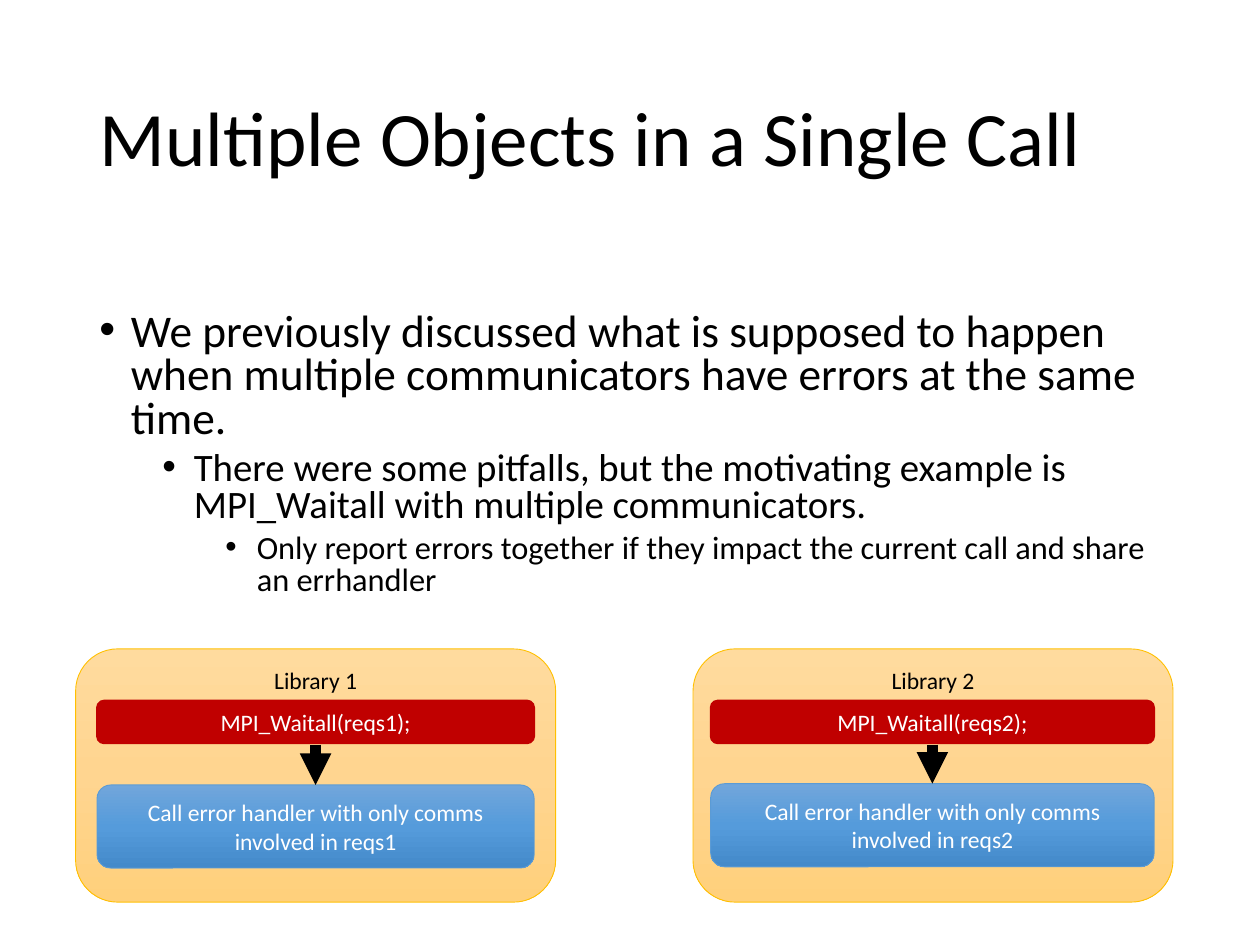
from lxml import etree
from pptx import Presentation
from pptx.dml.color import RGBColor
from pptx.enum.shapes import MSO_CONNECTOR as Connector, MSO_SHAPE as Shape
from pptx.enum.text import MSO_ANCHOR as Anchor, MSO_AUTO_SIZE as AutoSize, PP_ALIGN as Align
from pptx.oxml.ns import qn
from pptx.util import Inches, Pt

BLACK, WHITE, RED = "000000", "FFFFFF", "C00000"
ORANGE_FADE = ("FFDB9E", "FFD590", "FFD07C")
BLUE_FADE = ("71A6DB", "559BDB", "448ACA")


def color(value):
    return RGBColor.from_string(value)


def add_element(parent, tag, **attributes):
    return etree.SubElement(parent, qn(tag), attributes)


class SlideBuilder:
    font_name = "Calibri"
    label_size = 13.5

    def __init__(self, page):
        self.page = page

    def add_text(self, para, text, size, font_color=BLACK, **layout):
        for name, value in layout.items():
            setattr(para, name, value)
        span = para.add_run()
        span.text = text
        font = {"name": self.font_name, "size": Pt(size)}
        for name, value in font.items():
            setattr(span.font, name, value)
        span.font.color.rgb = color(font_color)

    def title(self, text, left, top, width, height):
        box = self.page.shapes.title
        place = {"left": left, "top": top, "width": width, "height": height}
        for name, value in place.items():
            setattr(box, name, Inches(value))
        frame = box.text_frame
        frame.auto_size = AutoSize.NONE
        frame.vertical_anchor = Anchor.MIDDLE
        self.add_text(frame.paragraphs[0], text, 44, alignment=Align.LEFT, line_spacing=0.9)

    def bullets(self, items, left, top, width, height):
        box = self.page.shapes.add_textbox(*map(Inches, (left, top, width, height)))
        frame = box.text_frame
        frame.word_wrap = True
        for level, (text, size) in enumerate(items):
            para = frame.paragraphs[0] if level == 0 else frame.add_paragraph()
            properties = para._p.get_or_add_pPr()
            properties.set("marL", str(Inches(0.25 + 0.5 * level)))
            properties.set("indent", str(Inches(-0.25)))
            add_element(properties, "a:buFont", typeface="Arial")
            add_element(properties, "a:buChar", char="•")
            self.add_text(para, text, size, level=level, line_spacing=0.8,
                          space_before=Pt(5 if level else 0))

    def fade(self, fill, colors):
        """Fill from top to bottom with evenly spaced colour stops."""
        fill.gradient()
        fill.gradient_angle = 270
        stops = fill._fill._gradFill.find(qn("a:gsLst"))
        for stop in list(stops):
            stops.remove(stop)
        for index, value in enumerate(colors):
            position = 100000 * index // (len(colors) - 1)
            stop = add_element(stops, "a:gs", pos=str(position))
            add_element(stop, "a:srgbClr", val=value)

    def panel(self, text, place, fill, line, line_width, font_color=WHITE, anchor=Anchor.MIDDLE):
        panel = self.page.shapes.add_shape(Shape.ROUNDED_RECTANGLE, *map(Inches, place))
        panel.shadow.inherit = False
        if isinstance(fill, str):
            panel.fill.solid()
            panel.fill.fore_color.rgb = color(fill)
        else:
            self.fade(panel.fill, fill)
        panel.line.color.rgb = color(line)
        panel.line.width = Pt(line_width)
        frame = panel.text_frame
        style = {"word_wrap": True, "vertical_anchor": anchor,
                 "margin_left": Inches(0.07), "margin_right": Inches(0.07),
                 "margin_top": Inches(0.04), "margin_bottom": Inches(0.04)}
        for name, value in style.items():
            setattr(frame, name, value)
        self.add_text(frame.paragraphs[0], text, self.label_size, font_color,
                      alignment=Align.CENTER)

    def down_arrow(self, x, top, bottom):
        arrow = self.page.shapes.add_connector(
            Connector.STRAIGHT, *map(Inches, (x, top, x, bottom)))
        arrow.line.color.rgb = color(BLACK)
        arrow.line.width = Pt(6)
        add_element(arrow.line._get_or_add_ln(), "a:tailEnd", type="triangle")
        add_element(arrow._element.spPr, "a:effectLst")

    def library(self, number, left, inner_left, inner_width, handler_top):
        self.panel(f"Library {number}", (left, 5.15, 3.81, 2.01), ORANGE_FADE,
                   "FFC000", 0.5, BLACK, Anchor.TOP)
        self.panel(f"MPI_Waitall(reqs{number});", (inner_left, 5.56, inner_width, 0.34),
                   RED, RED, 1)
        self.panel(f"Call error handler with only comms involved in reqs{number}",
                   (inner_left, handler_top, inner_width, 0.66), BLUE_FADE, "5B9BD5", 0.5)
        self.down_arrow(inner_left + inner_width / 2, 5.91, handler_top)


def main():
    deck = Presentation()
    deck.slide_width, deck.slide_height = Inches(10), Inches(7.5)
    builder = SlideBuilder(deck.slides.add_slide(deck.slide_layouts[5]))

    # Title and nested bullets
    builder.title("Multiple Objects in a Single Call", 0.69, 0.4, 8.62, 1.45)
    builder.bullets([
        ("We previously discussed what is supposed to happen when multiple "
         "communicators have errors at the same time.", 25.9),
        ("There were some pitfalls, but the motivating example is "
         "MPI_Waitall with multiple communicators.", 22.2),
        ("Only report errors together if they impact the current call "
         "and share an errhandler", 18.5),
    ], 0.69, 2.43, 8.62, 2.46)

    # One panel per library
    builder.library(1, left=0.6, inner_left=0.77, inner_width=3.47, handler_top=6.23)
    builder.library(2, left=5.5, inner_left=5.64, inner_width=3.52, handler_top=6.22)

    deck.save("out.pptx")


if __name__ == "__main__":
    main()
